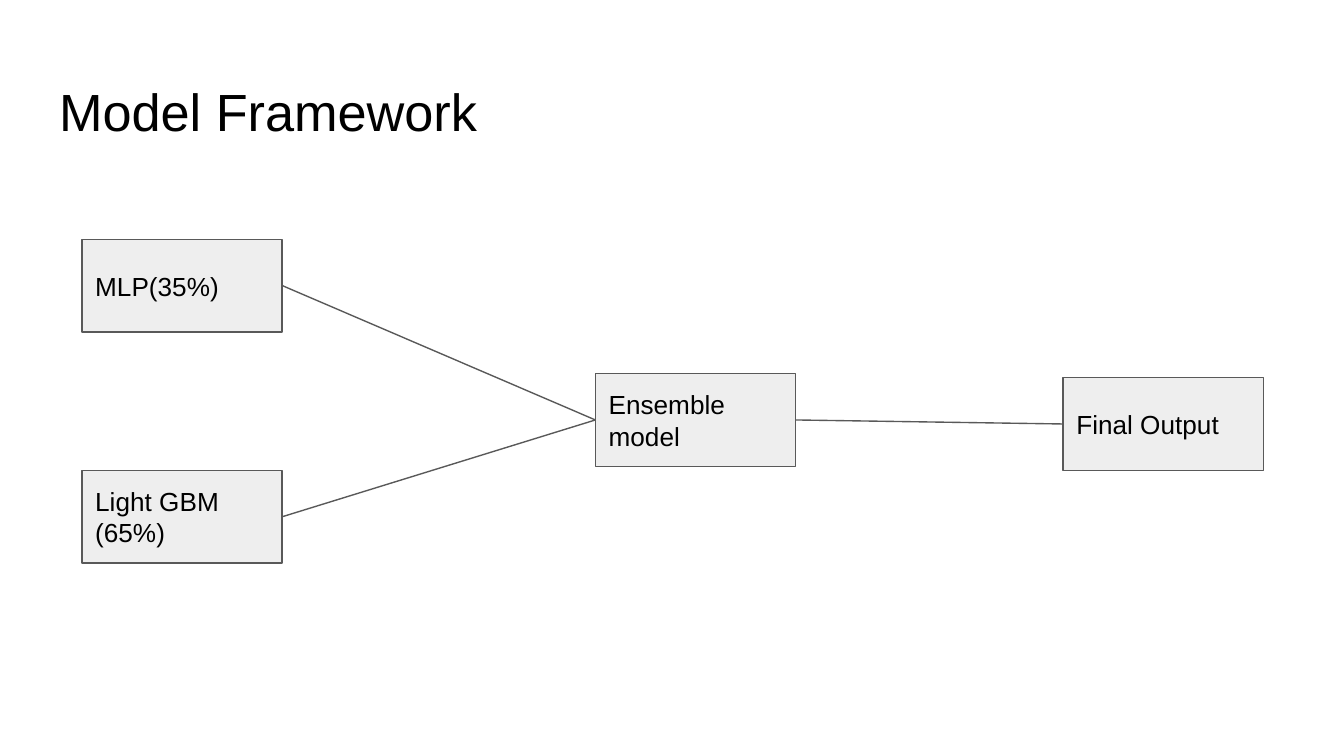
from lxml import etree
from pptx import Presentation
from pptx.dml.color import RGBColor
from pptx.enum.shapes import MSO_CONNECTOR, MSO_SHAPE
from pptx.enum.text import MSO_ANCHOR, MSO_AUTO_SIZE, PP_ALIGN
from pptx.oxml.ns import qn
from pptx.util import Inches, Pt

RECTANGLE = MSO_SHAPE.RECTANGLE
STRAIGHT = MSO_CONNECTOR.STRAIGHT
TOP = MSO_ANCHOR.TOP
MIDDLE = MSO_ANCHOR.MIDDLE
LEFT = PP_ALIGN.LEFT
NO_AUTOFIT = MSO_AUTO_SIZE.NONE
TITLE_ONLY_LAYOUT = 5
LEFT_SIDE, RIGHT_SIDE = 1, 3

FONT = "Arial"
BLACK = "000000"
BOX_FILL = "EEEEEE"
LINE_COLOR = "595959"
SLIDE_WIDTH = 10
BOX_WIDTH, BOX_HEIGHT = 1.49, 0.69
INPUT_LEFT = 0.61


def color(hex_value):
    return RGBColor.from_string(hex_value)


def set_text(shape, text, size=14, anchor=MIDDLE, inset=0.1):
    frame = shape.text_frame
    frame.word_wrap = True
    frame.auto_size = NO_AUTOFIT
    frame.vertical_anchor = anchor
    frame.margin_left = frame.margin_right = Inches(inset)
    frame.margin_top = frame.margin_bottom = Inches(inset)
    paragraph = frame.paragraphs[0]
    paragraph.alignment = LEFT
    paragraph.line_spacing = 1.0
    paragraph.space_before = Pt(0)
    run = paragraph.add_run()
    run.text = text
    run.font.name = FONT
    run.font.size = Pt(size)
    run.font.color.rgb = color(BLACK)


def set_line(line):
    line.color.rgb = color(LINE_COLOR)
    line.width = Pt(0.75)


def add_title(slide, text):
    title = slide.shapes.title
    title.left, title.top = Inches(0.34), Inches(0.49)
    title.width, title.height = Inches(9.32), Inches(0.63)
    set_text(title, text, size=28, anchor=TOP)


def add_box(slide, text, left, top):
    box = slide.shapes.add_shape(
        RECTANGLE, Inches(left), Inches(top), Inches(BOX_WIDTH), Inches(BOX_HEIGHT)
    )
    box.shadow.inherit = False
    box.fill.solid()
    box.fill.fore_color.rgb = color(BOX_FILL)
    set_line(box.line)
    set_text(box, text)
    return box


def join(slide, source, target):
    connector = slide.shapes.add_connector(STRAIGHT, 0, 0, 0, 0)
    connector.begin_connect(source, RIGHT_SIDE)
    connector.end_connect(target, LEFT_SIDE)
    set_line(connector.line)
    etree.SubElement(connector.element.spPr, qn("a:effectLst"))


def main():
    presentation = Presentation()
    presentation.slide_width = Inches(SLIDE_WIDTH)
    presentation.slide_height = Inches(SLIDE_WIDTH * 9 / 16)
    slide = presentation.slides.add_slide(presentation.slide_layouts[TITLE_ONLY_LAYOUT])

    add_title(slide, "Model Framework")
    perceptron = add_box(slide, "MLP(35%)", INPUT_LEFT, 1.78)
    boosting = add_box(slide, "Light GBM (65%)", INPUT_LEFT, 3.5)
    ensemble = add_box(slide, "Ensemble model", 4.43, 2.78)
    output = add_box(slide, "Final Output", 7.91, 2.81)

    for source, target in (
        (perceptron, ensemble),
        (boosting, ensemble),
        (ensemble, output),
    ):
        join(slide, source, target)

    presentation.save("out.pptx")


if __name__ == "__main__":
    main()
